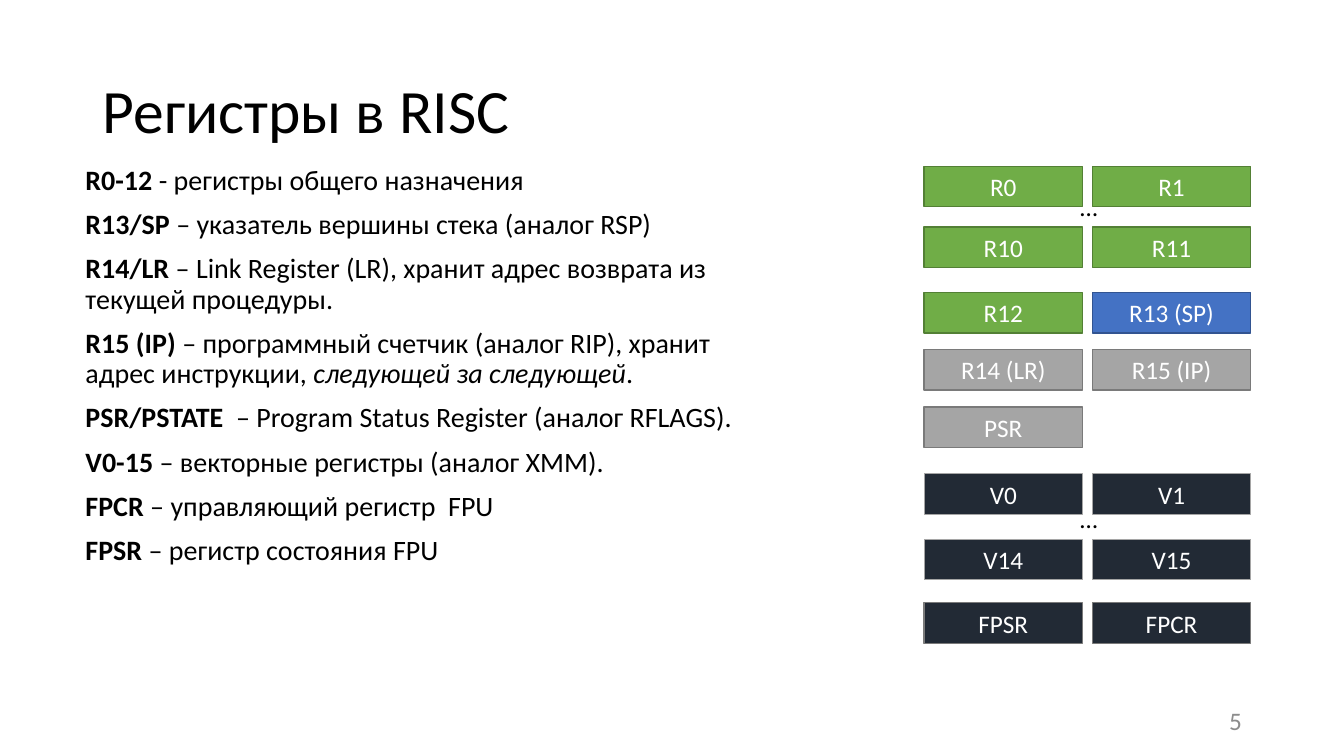
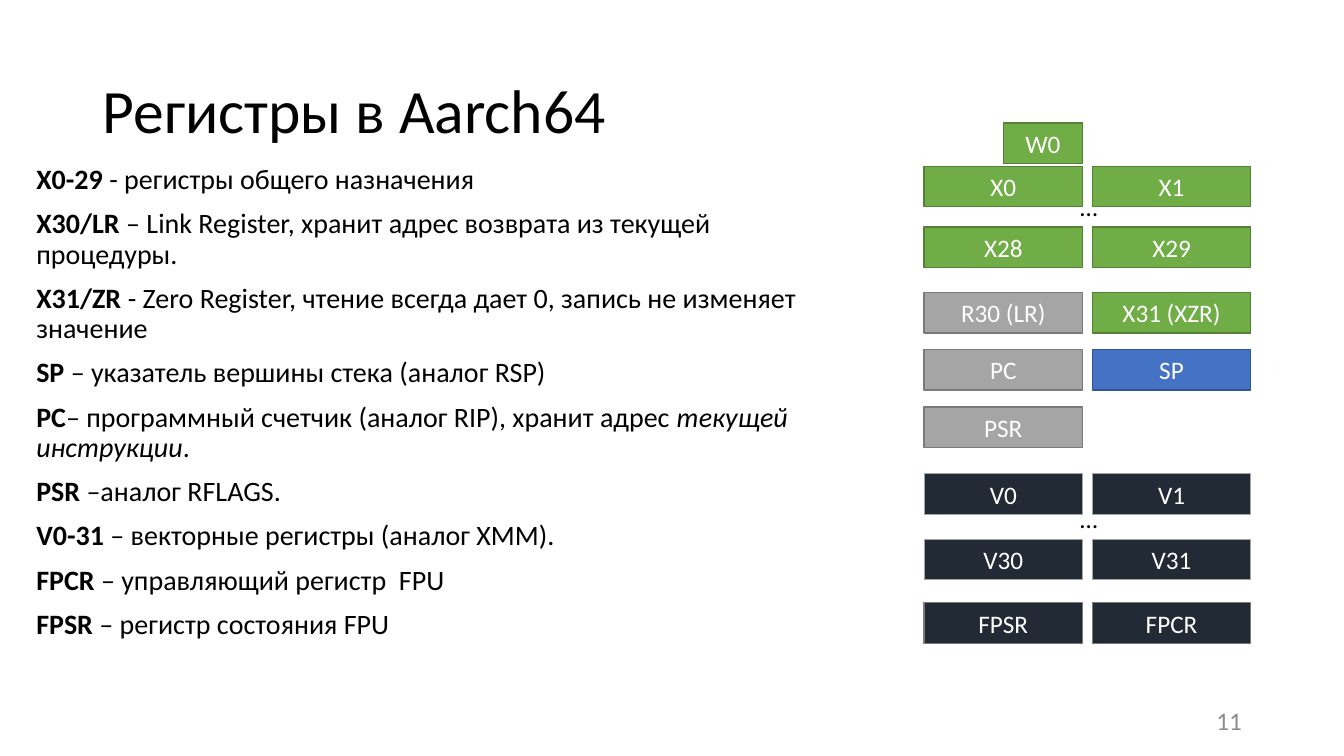
import pptx
import pptx.util
import pptx.dml.color
import pptx.enum.shapes
import pptx.enum.text
import pptx.oxml.ns
import lxml.etree

Cm, Pt = pptx.util.Cm, pptx.util.Pt
ALIGN = pptx.enum.text.PP_ALIGN
ANCHOR = pptx.enum.text.MSO_ANCHOR
AUTO = pptx.enum.text.MSO_AUTO_SIZE

FONT = "Calibri"
COLORS = {"text": "000000", "number": "8C8C8C", "label": "FFFFFF",
          "green": "70AD47", "green_line": "538035",
          "blue": "4472C4", "blue_line": "325491",
          "gray": "A5A5A5", "gray_line": "7A7A7A", "navy": "222A35"}

# Register kinds: fill, line colour, line width
KINDS = {"general": ("green", "green_line", 1),
         "stack": ("blue", "blue_line", 1),
         "control": ("gray", "gray_line", 1),
         "vector": ("navy", "gray", 0.5),
         "fpu": ("navy", "gray_line", 1)}

# Register grid: column lefts and row tops in cm
COLS = [23.29, 27.53]
ROWS = [4.19, 5.72, 7.37, 8.81, 10.26, 11.94, 13.59, 15.19]
BOX_W, BOX_H = 3.99, 1.02
ELLIPSIS_TOPS = [4.7, 12.55]

# Runs of a list item are, in order: bold, plain, italic, plain
FPU_ITEMS = [("FPCR", " – управляющий регистр  FPU"),
             ("FPSR", " – регистр состояния FPU")]
FPU_ROW = [("FPSR", "fpu"), ("FPCR", "fpu")]

SLIDES = [
    {"title": "Регистры в RISC", "number": "5",
     "body": (1.9, 4.06, 17.75, 13.97),
     "items": [
         ("R0-12", " - регистры общего назначения"),
         ("R13/SP ", "– указатель вершины стека (аналог RSP)"),
         ("R14/LR ", "– Link Register (LR), хранит адрес возврата из текущей процедуры."),
         ("R15 (IP) ", "– программный счетчик (аналог RIP), хранит адрес инструкции, ",
          "следующей за следующей", "."),
         ("PSR/PSTATE ", " – Program Status Register (аналог RFLAGS)."),
         ("V0-15 ", "– векторные регистры (аналог XMM).")],
     "registers": [
         [("R0", "general"), ("R1", "general")],
         [("R10", "general"), ("R11", "general")],
         [("R12", "general"), ("R13 (SP)", "stack")],
         [("R14 (LR)", "control"), ("R15 (IP)", "control")],
         [("PSR", "control")],
         [("V0", "vector"), ("V1", "vector")],
         [("V14", "vector"), ("V15", "vector")]],
     "half": None},
    {"title": "Регистры в Aarch64", "number": "11",
     "body": (0.66, 4.04, 20.85, 15.01),
     "items": [
         ("X0-29", " - регистры общего назначения"),
         ("X30/LR ", "– Link Register, хранит адрес возврата из текущей процедуры."),
         ("X31/ZR ", "- Zero Register, чтение всегда дает 0, запись не изменяет значение"),
         ("SP ", "– указатель вершины стека (аналог RSP)"),
         ("PC", "– программный счетчик (аналог RIP), хранит адрес ",
          "текущей инструкции", "."),
         ("PSR", " –аналог RFLAGS."),
         ("V0-31 ", "– векторные регистры (аналог XMM).")],
     "registers": [
         [("X0", "general"), ("X1", "general")],
         [("X28", "general"), ("X29", "general")],
         [("R30 (LR)", "control"), ("X31 (XZR)", "general")],
         [("PC", "control"), ("SP", "stack")],
         [("PSR", "control")],
         [("V0", "vector"), ("V1", "vector")],
         [("V30", "vector"), ("V31", "vector")]],
     "half": "W0"},
]


def rgb(name):
    return pptx.dml.color.RGBColor.from_string(COLORS[name])


def add_run(p, text, size, color="text", bold=False, italic=False):
    r = p.add_run()
    r.text = text
    r.font.name = FONT
    r.font.size = Pt(size)
    r.font.bold = bold
    r.font.italic = italic
    r.font.color.rgb = rgb(color)


prs = pptx.Presentation()
prs.slide_width, prs.slide_height = Cm(33.87), Cm(19.05)

for data in SLIDES:
    s = prs.slides.add_slide(prs.slide_layouts[1])

    # Title
    sp = s.shapes.title
    sp.left, sp.top, sp.width, sp.height = Cm(2.33), Cm(1.01), Cm(29.21), Cm(3.68)
    tf = sp.text_frame
    tf.auto_size = AUTO.NONE
    tf.vertical_anchor = ANCHOR.MIDDLE
    p = tf.paragraphs[0]
    p.alignment = ALIGN.LEFT
    p.line_spacing = 0.9
    add_run(p, data["title"], 44)

    # List of registers
    sp = s.placeholders[1]
    sp.left, sp.top, sp.width, sp.height = [Cm(v) for v in data["body"]]
    tf = sp.text_frame
    tf.auto_size = AUTO.NONE
    for i, item in enumerate(data["items"] + FPU_ITEMS):
        p = tf.add_paragraph() if i else tf.paragraphs[0]
        p.line_spacing = 0.9
        p.space_before = Pt(10)
        pPr = p._p.get_or_add_pPr()
        pPr.set("marL", "0")
        pPr.set("indent", "0")
        lxml.etree.SubElement(pPr, pptx.oxml.ns.qn("a:buNone"))
        for j, text in enumerate(item):
            add_run(p, text, 20, bold=j == 0, italic=j == 2)

    # Slide number
    sp = s.shapes.add_textbox(Cm(23.93), Cm(17.65), Cm(7.62), Cm(1.01))
    tf = sp.text_frame
    tf.word_wrap = True
    tf.vertical_anchor = ANCHOR.MIDDLE
    p = tf.paragraphs[0]
    p.alignment = ALIGN.RIGHT
    add_run(p, data["number"], 18, "number")

    # Register boxes
    boxes = [(name, kind, left, top, BOX_W)
             for top, row in zip(ROWS, data["registers"] + [FPU_ROW])
             for left, (name, kind) in zip(COLS, row)]
    if data["half"]:
        boxes.append((data["half"], "general", COLS[0] + BOX_W / 2, 3.1, BOX_W / 2))
    for name, kind, left, top, width in boxes:
        fill, line, weight = KINDS[kind]
        sp = s.shapes.add_shape(pptx.enum.shapes.MSO_SHAPE.RECTANGLE,
                                Cm(left), Cm(top), Cm(width), Cm(BOX_H))
        sp.shadow.inherit = False
        sp.fill.solid()
        sp.fill.fore_color.rgb = rgb(fill)
        sp.line.color.rgb = rgb(line)
        sp.line.width = Pt(weight)
        tf = sp.text_frame
        tf.vertical_anchor = ANCHOR.MIDDLE
        p = tf.paragraphs[0]
        p.alignment = ALIGN.CENTER
        add_run(p, name, 18, "label")

    # Ellipses between the first and last registers of a group
    for top in ELLIPSIS_TOPS:
        sp = s.shapes.add_textbox(Cm(26.97), Cm(top), Cm(0.97), Cm(1.02))
        tf = sp.text_frame
        tf.word_wrap = False
        tf.auto_size = AUTO.SHAPE_TO_FIT_TEXT
        add_run(tf.paragraphs[0], "…", 18)

prs.save("out.pptx")
